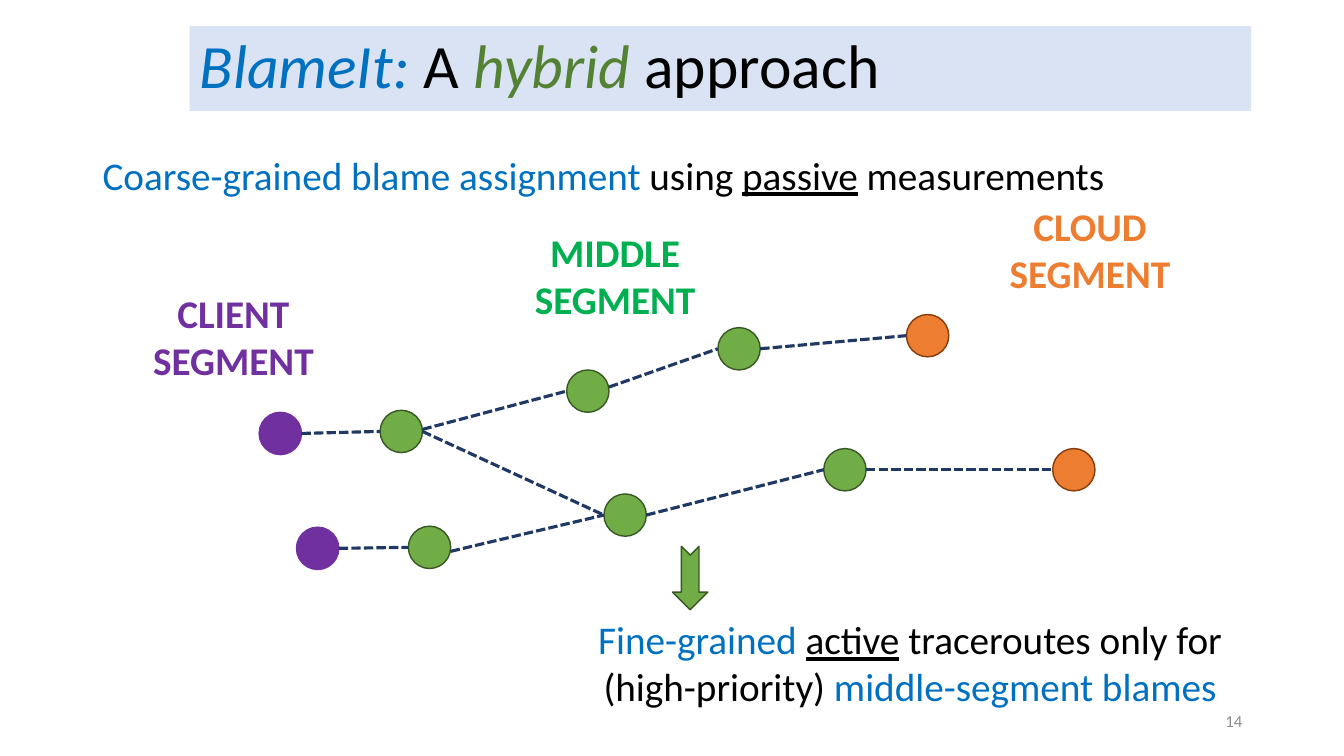
"""Builds the slide on a hybrid approach to blame assignment."""
from lxml import etree
from pptx import Presentation
from pptx.dml.color import RGBColor
from pptx.enum.dml import MSO_LINE
from pptx.enum.shapes import MSO_CONNECTOR, MSO_SHAPE
from pptx.enum.text import MSO_ANCHOR, MSO_AUTO_SIZE, PP_ALIGN
from pptx.oxml.ns import qn
from pptx.util import Inches, Pt

LEFT, CENTER, RIGHT = PP_ALIGN.LEFT, PP_ALIGN.CENTER, PP_ALIGN.RIGHT
TOP, MIDDLE = MSO_ANCHOR.TOP, MSO_ANCHOR.MIDDLE
OVAL, ARROW = MSO_SHAPE.OVAL, MSO_SHAPE.NOTCHED_RIGHT_ARROW
STRAIGHT, DASH = MSO_CONNECTOR.STRAIGHT, MSO_LINE.SQUARE_DOT
NO_FIT = MSO_AUTO_SIZE.NONE

WIDTH, HEIGHT = Inches(13.33), Inches(7.5)
COLS, ROWS = 13.33, 7.5
NODE = 0.42
FONT = "Calibri"
COLORS = {
    "text": "000000", "accent": "0070C0", "hybrid": "548235", "band": "DAE3F3",
    "client": "7030A0", "client_edge": "7030A0",
    "middle": "70AD47", "middle_edge": "385723", "middle_label": "00B050",
    "cloud": "ED7D31", "cloud_edge": "843C0B",
    "link": "203864", "number": "8C8C8C",
}


class Deck:
    """Holds the style and the current slide, placed on a grid of columns and rows."""

    def __init__(self):
        self.prs = Presentation()
        self.prs.slide_width, self.prs.slide_height = WIDTH, HEIGHT
        self.s = self.prs.slides.add_slide(self.prs.slide_layouts[5])

    def color(self, name):
        return RGBColor.from_string(COLORS[name])

    def x(self, col):
        return round(WIDTH * col / COLS)

    def y(self, row):
        return round(HEIGHT * row / ROWS)

    def box(self, col, row, cols, rows):
        return self.x(col), self.y(row), self.x(cols), self.y(rows)

    def add_runs(self, sp, runs, size, align=LEFT, anchor=TOP, spacing=1.0):
        tf = sp.text_frame
        tf.word_wrap, tf.auto_size, tf.vertical_anchor = True, NO_FIT, anchor
        p = tf.paragraphs[0]
        p.alignment, p.line_spacing = align, spacing
        for text, color, style in runs:
            r = p.add_run()
            r.text = text
            r.font.name, r.font.size = FONT, Pt(size)
            r.font.color.rgb = self.color(color)
            r.font.bold = style == "bold"
            r.font.italic = style == "italic"
            r.font.underline = style == "underline"

    def title(self, place, runs):
        sp = self.s.shapes.title
        sp.left, sp.top, sp.width, sp.height = self.box(*place)
        sp.fill.solid()
        sp.fill.fore_color.rgb = self.color("band")
        self.add_runs(sp, runs, 44, anchor=MIDDLE, spacing=0.9)

    def text(self, place, runs, size=28, **layout):
        self.add_runs(self.s.shapes.add_textbox(*self.box(*place)), runs, size, **layout)

    def shape(self, kind, place, segment, edge=1, rotation=0):
        sp = self.s.shapes.add_shape(kind, *self.box(*place))
        sp.shadow.inherit = False
        sp.rotation = rotation
        sp.fill.solid()
        sp.fill.fore_color.rgb = self.color(segment)
        sp.line.color.rgb = self.color(segment + "_edge")
        sp.line.width = Pt(edge)

    def link(self, start, end):
        ends = self.x(start[0]), self.y(start[1]), self.x(end[0]), self.y(end[1])
        line = self.s.shapes.add_connector(STRAIGHT, *ends)
        line.line.color.rgb = self.color("link")
        line.line.width, line.line.dash_style = Pt(2.25), DASH
        etree.SubElement(line._element.spPr, qn("a:effectLst"))


NODES = {
    "cloud 1": (8.99, 3.12), "client 1": (2.57, 4.09), "client 2": (2.94, 5.23),
    "cloud 2": (10.44, 4.45), "middle 1": (3.77, 4.07), "middle 2": (4.05, 5.22),
    "middle 3": (5.62, 3.67), "middle 4": (7.12, 3.25), "middle 5": (5.99, 4.9),
    "middle 6": (8.17, 4.45),
}
LINKS = [
    ("client 1", "middle 1", 0), ("client 2", "middle 2", 0),
    ("middle 2", "middle 5", 0.04), ("middle 1", "middle 3", -0.02),
    ("middle 3", "middle 4", -0.04), ("middle 4", "cloud 1", 0),
    ("middle 5", "middle 6", 0), ("middle 6", "cloud 2", 0),
    ("middle 1", "middle 5", 0),
]
LABELS = [
    ("CLIENT SEGMENT", "client", (1.4, 2.82, 1.83, 1.04)),
    ("MIDDLE SEGMENT", "middle_label", (5.13, 2.22, 1.94, 1.04)),
    ("CLOUD SEGMENT", "cloud", (9.77, 1.96, 2.08, 1.04)),
]


def main():
    deck = Deck()
    deck.title((1.88, 0.26, 10.53, 0.84), [
        ("BlameIt: ", "accent", "italic"), ("A ", "text", ""),
        ("hybrid ", "hybrid", "italic"), ("approach", "text", "")])
    deck.text((0.92, 1.5, 11.5, 0.55), [
        ("Coarse-grained blame assignment ", "accent", ""), ("using ", "text", ""),
        ("passive", "text", "underline"), (" measurements", "text", "")], spacing=0.9)
    for label, color, place in LABELS:
        deck.text(place, [(label, color, "bold")], align=CENTER)
    for name, (col, row) in NODES.items():
        deck.shape(OVAL, (col, row, NODE, NODE), name.split()[0])
    for first, second, shift in LINKS:
        (col, row), (end_col, end_row) = NODES[first], NODES[second]
        deck.link((col + NODE, row + NODE / 2 + shift), (end_col, end_row + NODE / 2))
    deck.shape(ARROW, (6.53, 5.56, 0.63, 0.35), "middle", rotation=90)
    deck.text((5.63, 6.02, 6.79, 1.11), [
        ("Fine-grained ", "accent", ""), ("active", "text", "underline"),
        (" traceroutes only for (high-priority) ", "text", ""),
        ("middle-segment blames", "accent", "")], align=CENTER, anchor=MIDDLE)
    deck.text((9.42, 6.95, 3, 0.4), [("14", "number", "")], 12, align=RIGHT, anchor=MIDDLE)
    deck.prs.save("out.pptx")


if __name__ == "__main__":
    main()
